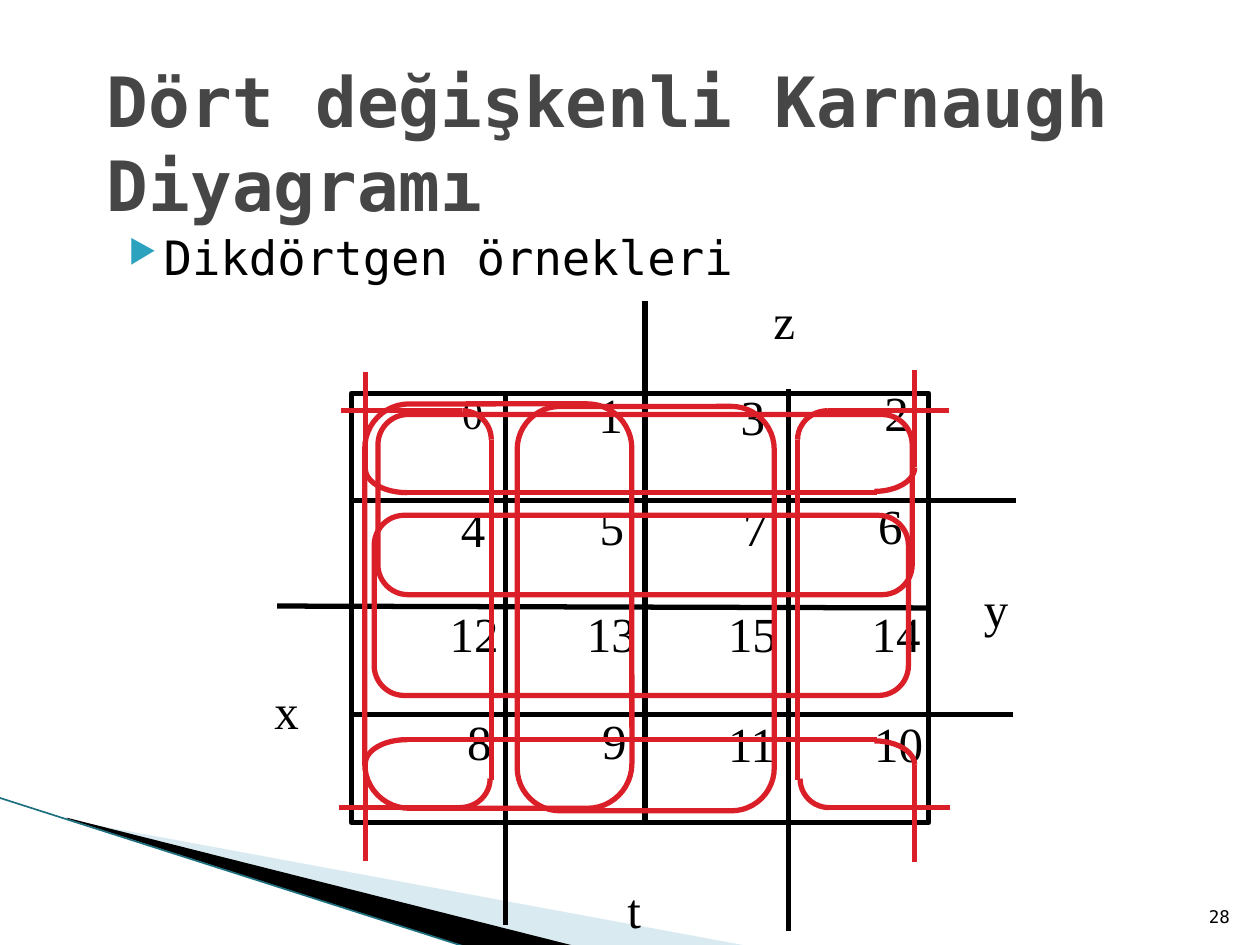
from lxml.etree import SubElement
from pptx import Presentation
from pptx.dml.color import RGBColor
from pptx.enum.shapes import MSO_CONNECTOR, MSO_SHAPE
from pptx.enum.text import MSO_ANCHOR, PP_ALIGN
from pptx.oxml.ns import qn
from pptx.util import Cm, Pt

BLACK = RGBColor(0x00, 0x00, 0x00)
RED = RGBColor(0xDA, 0x1F, 0x28)
GREY = RGBColor(0x46, 0x46, 0x46)
PALE_BLUE = RGBColor(0xA0, 0xCB, 0xDC)
TEAL = RGBColor(0x1E, 0x70, 0x80)
BULLET_BLUE = "2DA2BF"
MONO = "DejaVu Sans Mono"
SERIF = "Times New Roman"

TITLE = "Dört değişkenli Karnaugh Diyagramı"
SUBTITLE = "Dikdörtgen örnekleri"
PAGE_NUMBER = "28"

WEDGES = [
    ([(0.55, 6.51), (5.95, 7.51), (4.56, 7.51), (0.55, 6.5)], PALE_BLUE, 40),
    ([(0.53, 6.49), (4.57, 7.51), (3.72, 7.52), (0.54, 6.5)], BLACK, 100),
]
WEDGE_EDGE = (-0.01, 6.33, 3.71, 7.52)

GRID = (2.79, 3.12, 4.58, 3.41)
GRID_LINES = [
    (5.12, 2.39, 5.12, 6.53),
    (4.01, 3.11, 4.01, 7.34),
    (6.26, 3.09, 6.26, 7.39),
    (2.77, 3.97, 8.06, 3.97),
    (2.79, 5.67, 8.04, 5.67),
]
MIDDLE_LINE = (2.2, 4.81, 7.37, 4.82)

VARIABLES = [("x", 2.08, 5.35), ("y", 7.71, 4.54), ("z", 6.04, 2.26), ("t", 4.88, 6.93)]
CELLS = [
    ("0", 3.57, 3.03), ("1", 4.65, 3.0), ("3", 5.78, 3.02), ("2", 6.92, 2.99),
    ("4", 3.56, 3.91), ("5", 4.66, 3.89), ("7", 5.8, 3.9), ("6", 6.87, 3.88),
    ("12", 3.47, 4.74), ("13", 4.56, 4.74), ("15", 5.68, 4.74), ("14", 6.82, 4.74),
    ("8", 3.61, 5.6), ("9", 4.68, 5.59), ("11", 5.68, 5.61), ("10", 6.84, 5.61),
]

LOOPS = [
    (3.52, 3.81, 3.21, 2.04, 270),
    (2.35, 3.75, 3.21, 2.12, 270),
    (2.97, 4.09, 4.24, 1.43, 0),
    (3.0, 3.29, 4.24, 1.43, 0),
]
OPEN_LOOP_LINES = [
    (3.9, 6.19, 3.9, 3.49), (3.67, 3.26, 2.71, 3.26), (3.65, 6.41, 2.69, 6.41),
    (6.33, 6.19, 6.33, 3.49), (6.57, 3.26, 7.53, 3.26), (6.58, 6.41, 7.54, 6.41),
    (6.96, 5.87, 3.23, 5.87), (2.9, 6.06, 2.9, 6.83), (7.26, 6.07, 7.26, 6.84),
    (6.96, 3.91, 3.23, 3.91), (2.9, 3.72, 2.9, 2.95), (7.26, 3.71, 7.26, 2.94),
]
OPEN_LOOP_CORNERS = [
    (3.65, 6.18, 0.24, 0.23, 0), (3.67, 3.49, 0.23, 0.23, 270),
    (6.58, 6.18, 0.23, 0.23, 90), (6.57, 3.49, 0.24, 0.23, 180),
    (6.94, 6.07, 0.32, 0.19, 270), (3.23, 6.06, 0.33, 0.19, 180),
    (6.94, 3.71, 0.32, 0.19, 0), (3.23, 3.72, 0.33, 0.19, 90),
]


def inches(*values):
    return [Cm(value * 2.54) for value in values]


def add_text(page, text, place, color=BLACK, anchor=MSO_ANCHOR.TOP, align=PP_ALIGN.LEFT,
             bullet=False, **font):
    box = page.shapes.add_textbox(*inches(*place))
    box.text_frame.word_wrap = True
    box.text_frame.vertical_anchor = anchor
    para = box.text_frame.paragraphs[0]
    para.alignment = align
    if bullet:
        add_bullet(para)
    span = para.add_run()
    span.text = text
    for name, value in font.items():
        setattr(span.font, name, value)
    span.font.color.rgb = color


def add_bullet(para):
    properties = para._p.get_or_add_pPr()
    margin, indent = inches(0.4, -0.28)
    properties.set("marL", str(margin))
    properties.set("indent", str(indent))
    color = SubElement(properties, qn("a:buClr"))
    SubElement(color, qn("a:srgbClr"), val=BULLET_BLUE)
    SubElement(properties, qn("a:buSzPct"), val="68000")
    SubElement(properties, qn("a:buChar"), char="▶")


def add_line(page, ends, color=BLACK, width=3):
    line = page.shapes.add_connector(MSO_CONNECTOR.STRAIGHT, *inches(*ends))
    line.line.color.rgb = color
    line.line.width = Pt(width)
    SubElement(line._element.spPr, qn("a:effectLst"))
    return line


def add_outline(page, kind, place, color, adjustments=(), rotation=0):
    shape = page.shapes.add_shape(kind, *inches(*place))
    shape.shadow.inherit = False
    shape.fill.background()
    shape.line.color.rgb = color
    shape.line.width = Pt(3)
    shape.rotation = rotation
    for index, value in enumerate(adjustments):
        shape.adjustments[index] = value
    return shape


def add_wedge(page, points, color, opacity):
    corners = [tuple(inches(*point)) for point in points]
    builder = page.shapes.build_freeform(*corners[0])
    builder.add_line_segments(corners[1:], close=True)
    wedge = builder.convert_to_shape()
    wedge.shadow.inherit = False
    wedge.line.fill.background()
    wedge.fill.solid()
    wedge.fill.fore_color.rgb = color
    if opacity < 100:
        color_node = wedge._element.spPr.find(".//" + qn("a:srgbClr"))
        SubElement(color_node, qn("a:alpha"), val=str(opacity * 1000))


def add_corner(page, center_x, center_y, radius_x, radius_y, start):
    place = (center_x - radius_x, center_y - radius_y, 2 * radius_x, 2 * radius_y)
    angles = [angle % 360 * 0.6 for angle in (start, start + 90)]
    add_outline(page, MSO_SHAPE.ARC, place, RED, angles)


def main():
    deck = Presentation()
    deck.slide_width, deck.slide_height = inches(10, 7.5)
    page = deck.slides.add_slide(deck.slide_layouts[6])

    for wedge in WEDGES:
        add_wedge(page, *wedge)
    add_line(page, WEDGE_EDGE, TEAL, 0.95)

    add_text(page, SUBTITLE, (0.8, 1.76, 8.5, 5.17), bullet=True, name=MONO, size=Pt(27))
    add_text(page, PAGE_NUMBER, (9.46, 7.01, 0.4, 0.4), anchor=MSO_ANCHOR.BOTTOM,
             align=PP_ALIGN.RIGHT, name=MONO, size=Pt(10))
    add_text(page, TITLE, (0.75, 0.5, 9, 1.25), GREY, MSO_ANCHOR.MIDDLE,
             name=MONO, size=Pt(39.6), bold=True)

    for text, left, top in VARIABLES + CELLS:
        width = 0.48 if len(text) == 1 else 0.73
        size = 24 if text == "0" else 28
        add_text(page, text, (left, top, width, 0.57), name=SERIF, size=Pt(size))

    grid = add_outline(page, MSO_SHAPE.RECTANGLE, GRID, BLACK)
    for ends in GRID_LINES:
        add_line(page, ends)
    add_line(page, MIDDLE_LINE).end_connect(grid, 3)

    for *place, rotation in LOOPS:
        add_outline(page, MSO_SHAPE.ROUNDED_RECTANGLE, place, RED, [0.167], rotation)
    for ends in OPEN_LOOP_LINES:
        add_line(page, ends, RED)
    for corner in OPEN_LOOP_CORNERS:
        add_corner(page, *corner)

    deck.save("out.pptx")


if __name__ == "__main__":
    main()
